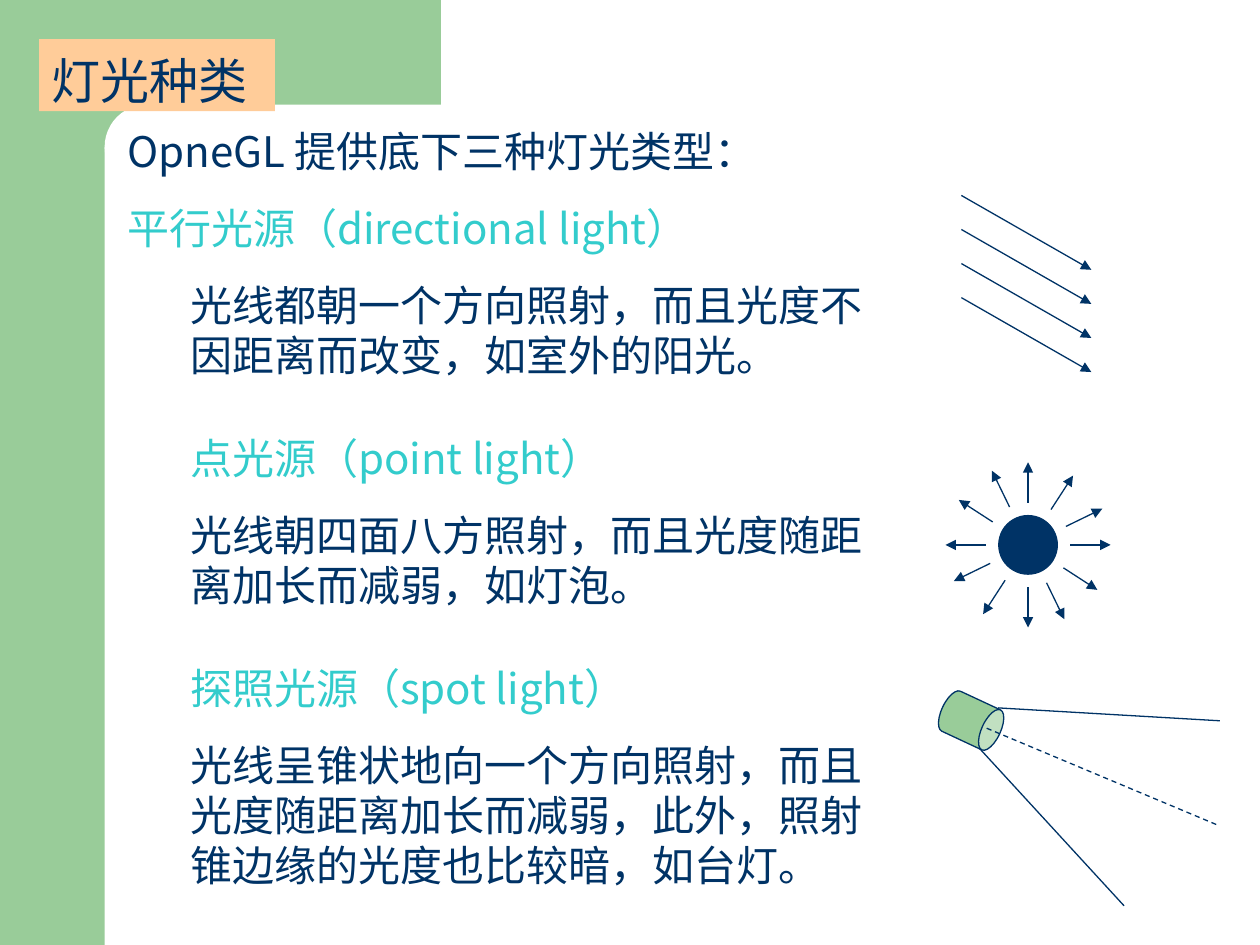
from dataclasses import dataclass
from math import cos, radians, sin

from pptx import Presentation
from pptx import util as u
from pptx.dml.color import RGBColor
from pptx.enum import dml, shapes, text
from pptx.oxml.ns import qn
from pptx.util import Cm, Pt


@dataclass(frozen=True)
class Theme:
    ink = RGBColor(0x00, 0x33, 0x66)
    accent = RGBColor(0x33, 0xCC, 0xCC)
    green = RGBColor(0x99, 0xCC, 0x99)
    peach = RGBColor(0xFF, 0xCC, 0x99)
    white = RGBColor(0xFF, 0xFF, 0xFF)
    title_font = "Times New Roman"
    body_font = "Noto Sans CJK SC"
    title_size = 28
    body_size = 24
    leading = 1.2
    line = Pt(0.75)


T = Theme()

# Text, colour, left indent in cm, space before in points
BODY = [
    ("OpneGL 提供底下三种灯光类型：", T.ink, 0, 0),
    ("平行光源（directional light）", T.accent, 0, 15),
    ("光线都朝一个方向照射，而且光度不因距离而改变，如室外的阳光。", T.ink, 1.27, 15),
    ("点光源（point light）", T.accent, 1.27, 30),
    ("光线朝四面八方照射，而且光度随距离加长而减弱，如灯泡。", T.ink, 1.27, 15),
    ("探照光源（spot light）", T.accent, 1.27, 30),
    ("光线呈锥状地向一个方向照射，而且光度随距离加长而减弱，此外，"
     "照射锥边缘的光度也比较暗，如台灯。", T.ink, 1.27, 15),
]


def place(sp, x, y, w, h):
    sp.left, sp.top, sp.width, sp.height = Cm(x), Cm(y), Cm(w), Cm(h)


def add_solid(parent, kind, x, y, w, h, color, outlined=False):
    sp = parent.add_shape(kind, Cm(x), Cm(y), Cm(w), Cm(h))
    sp.shadow.inherit = False
    sp.fill.solid()
    sp.fill.fore_color.rgb = color
    if outlined:
        sp.line.color.rgb = T.ink
        sp.line.width = T.line
    else:
        sp.line.fill.background()
    return sp


def add_ray(parent, x1, y1, x2, y2, arrow=False, dashed=False):
    ln = parent.add_connector(shapes.MSO_CONNECTOR.STRAIGHT, Cm(x1), Cm(y1), Cm(x2), Cm(y2))
    ln.line.color.rgb = T.ink
    ln.line.width = T.line
    if dashed:
        ln.line.dash_style = dml.MSO_LINE.DASH
    props = ln.element.spPr
    if arrow:
        tail = props.find(qn("a:ln")).makeelement(qn("a:tailEnd"), {"type": "triangle"})
        props.find(qn("a:ln")).append(tail)
    props.append(props.makeelement(qn("a:effectLst"), {}))


def prepare_frame(tf):
    tf.word_wrap = True
    tf.auto_size = text.MSO_AUTO_SIZE.NONE
    tf.vertical_anchor = text.MSO_ANCHOR.TOP
    tf.margin_left = tf.margin_right = u.Inches(0.1)
    tf.margin_top, tf.margin_bottom = u.Inches(0.09), 0


def format_paragraph(p, font, size, color, indent=0, before=0):
    p.alignment = text.PP_ALIGN.LEFT
    p.line_spacing = Pt(size * T.leading)
    p.space_before = Pt(before)
    props = p._p.get_or_add_pPr()
    props.set("marL", str(Cm(indent)))
    props.set("indent", "0")
    props.append(props.makeelement(qn("a:buNone"), {}))
    p.font.name, p.font.size, p.font.color.rgb = font, Pt(size), color
    defaults = props.find(qn("a:defRPr"))
    east_asian = defaults.makeelement(qn("a:ea"), {"typeface": T.body_font})
    defaults.find(qn("a:latin")).addnext(east_asian)


def draw_backdrop(slide):
    """Green corner bands with a rounded white cut-out, behind the text."""
    kinds = shapes.MSO_SHAPE
    bands = [
        add_solid(slide.shapes, kinds.RECTANGLE, 0, 0, 2.11, 19.05, T.green),
        add_solid(slide.shapes, kinds.RECTANGLE, 1.9, 0, 6.99, 2.97, T.green),
        add_solid(slide.shapes, kinds.ROUNDED_RECTANGLE, 2.11, 2.11, 14.17, 1.7, T.white),
    ]
    bands[-1].adjustments[0] = 0.5
    for band in bands:
        slide.shapes.title.element.addprevious(band.element)


def fill_title(sp, x, y, w, h):
    place(sp, x, y, w, h)
    sp.fill.solid()
    sp.fill.fore_color.rgb = T.peach
    prepare_frame(sp.text_frame)
    sp.text_frame.text = "灯光种类"
    format_paragraph(sp.text_frame.paragraphs[0], T.title_font, T.title_size, T.ink)


def fill_body(sp, x, y, w, h):
    place(sp, x, y, w, h)
    tf = sp.text_frame
    prepare_frame(tf)
    tf.text = "\n".join(row[0] for row in BODY)
    for p, (_, color, indent, before) in zip(tf.paragraphs, BODY):
        p.level = 1 if indent else 0
        format_paragraph(p, T.body_font, T.body_size, color, indent, before)


def draw_directional_light(slide, x, y, w, h):
    group = slide.shapes.add_group_shape().shapes
    drop = 1.5
    step = (h - drop) / 3
    for i in range(4):
        top = y + i * step
        add_ray(group, x, top, x + w, top + drop, arrow=True)


def draw_point_light(slide, x, y, size):
    group = slide.shapes.add_group_shape().shapes
    ball = 1.18
    inner, outer = 0.85, size / 2
    cx, cy = x + outer, y + outer
    add_solid(group, shapes.MSO_SHAPE.OVAL, cx - ball / 2, cy - ball / 2, ball, ball,
              T.ink, outlined=True)
    for quarter in range(0, 360, 90):
        for bearing in (0, 33, 64):
            a = radians(quarter + bearing)
            dx, dy = sin(a), -cos(a)
            add_ray(group, cx + inner * dx, cy + inner * dy,
                    cx + outer * dx, cy + outer * dy, arrow=True)


def draw_spot_light(slide, x, y):
    group = slide.shapes.add_group_shape().shapes
    lamp = add_solid(group, shapes.MSO_SHAPE.CAN, x, y, 0.89, 1.27, T.green, outlined=True)
    lamp.adjustments[0] = 0.425
    lamp.rotation = 115
    for x1, y1, x2, y2, dashed in [
        (0.99, 0.38, 5.46, 0.64, False),
        (0.61, 1.19, 3.53, 4.37, False),
        (0.76, 0.79, 5.41, 2.74, True),
    ]:
        add_ray(group, x + x1, y + y1, x + x2, y + y2, dashed=dashed)


def main():
    prs = Presentation()
    prs.slide_width, prs.slide_height = Cm(25.4), Cm(19.05)
    slide = prs.slides.add_slide(prs.slide_layouts[1])
    draw_backdrop(slide)
    fill_title(slide.shapes.title, 0.79, 0.79, 4.75, 1.45)
    fill_body(slide.placeholders[1], 2.31, 2.31, 15.82, 15.67)
    draw_directional_light(slide, 19.38, 3.94, 2.62, 3.56)
    draw_point_light(slide, 19.06, 9.32, 3.33)
    draw_spot_light(slide, 19.13, 13.89)
    prs.save("out.pptx")


if __name__ == "__main__":
    main()
